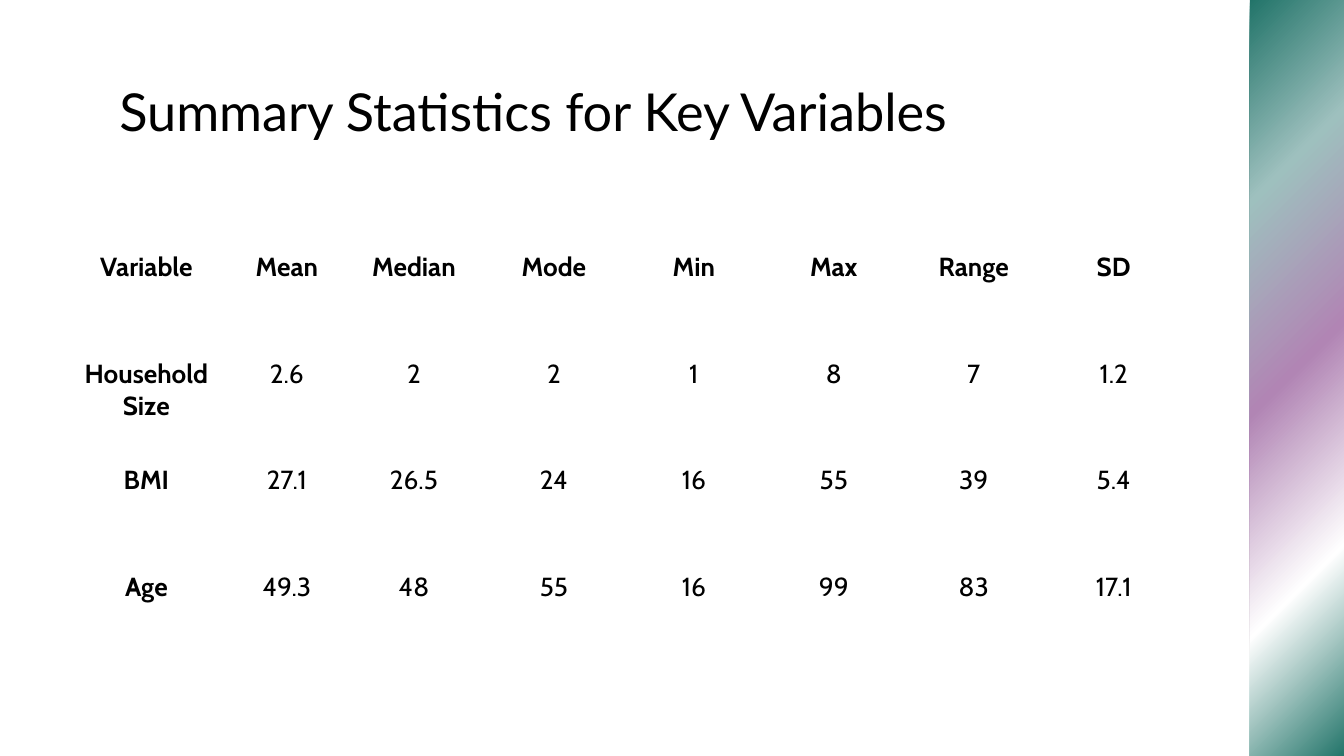
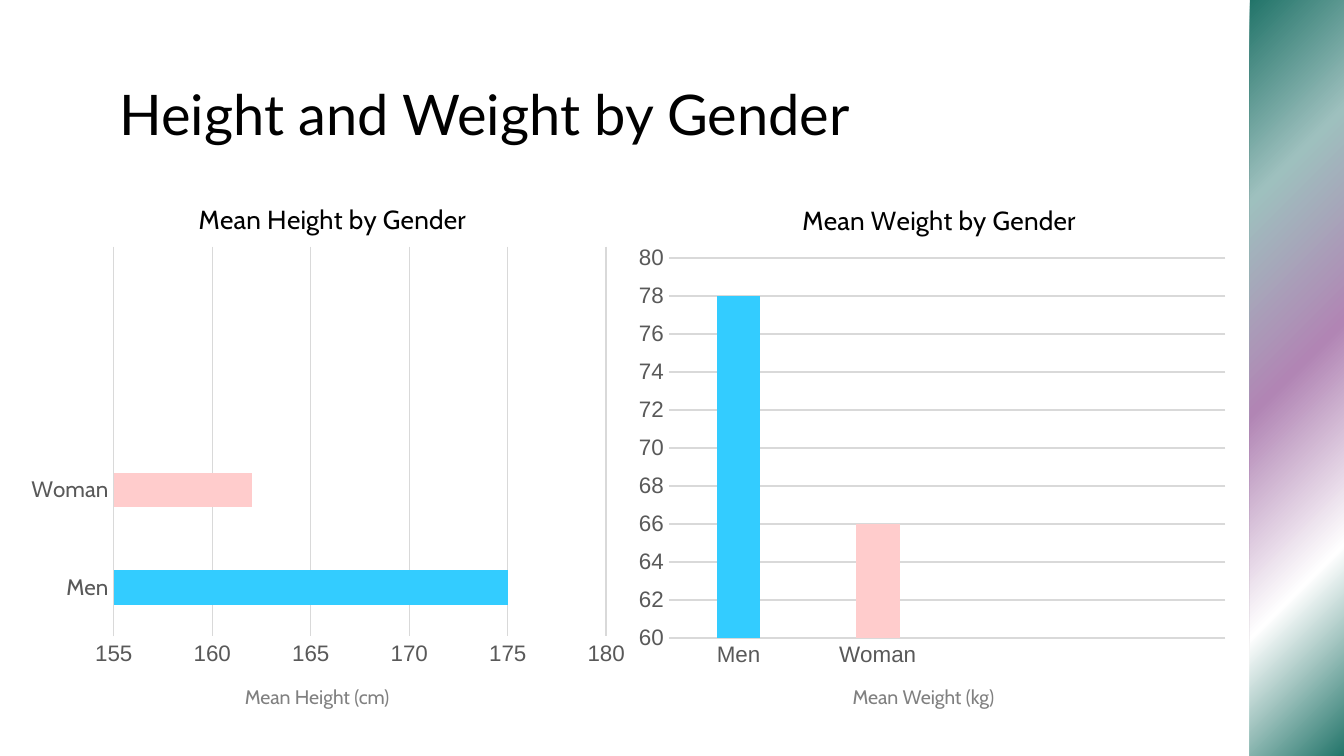
from dataclasses import dataclass

from lxml import etree
from pptx import Presentation
from pptx import util as u
from pptx.chart.data import CategoryChartData
from pptx.dml.color import RGBColor
from pptx.enum import chart as charts, shapes, text
from pptx.oxml import parse_xml
from pptx.oxml.ns import nsdecls, qn

# Content
STATISTICS = {
    "title": "Summary Statistics for Key Variables",
    "rows": [
        ("Variable", "Mean", "Median", "Mode", "Min", "Max", "Range", "SD"),
        ("Household Size", "2.6", "2", "2", "1", "8", "7", "1.2"),
        ("BMI", "27.1", "26.5", "24", "16", "55", "39", "5.4"),
        ("Age", "49.3", "48", "55", "16", "99", "83", "17.1"),
    ],
}
GENDER_TITLE = "Height and Weight by Gender"
CATEGORIES = ("Men", "Woman", "", "")
GENDER_CHARTS = [
    dict(title="Mean Height by Gender", caption="Mean Height (cm)",
         kind=charts.XL_CHART_TYPE.BAR_CLUSTERED, values=(175, 162, None, None),
         scale=(155, 180, 5), gap=182, overlap=0, category_font="Cabin",
         box=(11.5, 91.4, 329.8, 271.4), caption_left=91.4,
         title_spot=(0.28, 0.05), plot=(0.15, 0.15, 0.8, 0.77)),
    dict(title="Mean Weight by Gender", caption="Mean Weight (kg)",
         kind=charts.XL_CHART_TYPE.COLUMN_CLUSTERED, values=(78, 66, None, None),
         scale=(60, 80, 2), gap=219, overlap=-27, category_font="Arial",
         box=(335.5, 92.2, 327.6, 271.4), caption_left=416.2,
         title_spot=(0.28, 0.05), plot=(0.07, 0.17, 0.91, 0.75)),
]


@dataclass(frozen=True)
class Theme:
    black: str = "000000"
    white: str = "FFFFFF"
    axis: str = "595959"
    grid: str = "D9D9D9"
    caption: str = "808080"
    series: str = "B185B4"
    bars: tuple = ("33CCFF", "FFCCCC")
    band: tuple = ((0, "207368"), (24, "9EC0BE"), (49, "B185B4"),
                   (75, "FFFFFF"), (100, "207368"))
    heading_font: str = "Lato"
    body_font: str = "Cabin"
    number_font: str = "Arial"
    table_size: float = 14
    chart_title_size: float = 14
    axis_size: float = 12
    chart_size: float = 10
    caption_size: float = 10.5


THEME = Theme()
WIDTH, HEIGHT = 720, 405
COLUMN_WIDTHS = [89.3, 61.2] + [75] * 6
ROW_HEIGHT = 57.2


def points(*lengths):
    return [u.Pt(length) for length in lengths]


def style_font(font, name, size, color, bold=False):
    font.name, font.size, font.bold = name, u.Pt(size), bold
    font.color.rgb = RGBColor.from_string(color)


def add_run(paragraph, words, *style):
    run = paragraph.add_run()
    run.text = words
    style_font(run.font, *style)


def add_text(slide, box, words, *style, align=text.PP_ALIGN.LEFT, inset=None):
    frame = slide.shapes.add_textbox(*points(*box)).text_frame
    frame.word_wrap = True
    if inset is not None:
        frame.margin_left = frame.margin_right = u.Pt(inset)
        frame.margin_top = frame.margin_bottom = u.Pt(inset)
    paragraph = frame.paragraphs[0]
    paragraph.alignment = align
    add_run(paragraph, words, *style)


# Shared frame: gradient band and title
def add_slide(presentation, title, title_size):
    slide = presentation.slides.add_slide(presentation.slide_layouts[6])
    band = slide.shapes.add_shape(shapes.MSO_SHAPE.RECTANGLE,
                                  *points(669.6, -2, 50.4, 409))
    band.shadow.inherit = False
    band.line.fill.background()
    stops = "".join(f'<a:gs pos="{position * 1000}"><a:srgbClr val="{color}"/></a:gs>'
                    for position, color in THEME.band)
    gradient = parse_xml(f'<a:gradFill {nsdecls("a")} rotWithShape="1"><a:gsLst>{stops}'
                         '</a:gsLst><a:lin ang="2700000" scaled="0"/></a:gradFill>')
    band._element.spPr.find(qn("a:prstGeom")).addnext(gradient)
    add_text(slide, (56.9, 35.3, 607, 45.4), title,
             THEME.heading_font, title_size, THEME.black, inset=7.2)
    return slide


# Statistics table
def style_cell(cell, is_header):
    properties = cell._tc.get_or_add_tcPr()
    for side in ("lnL", "lnR", "lnT", "lnB"):
        width = 3 if is_header and side == "lnB" else 1
        properties.append(parse_xml(
            f'<a:{side} {nsdecls("a")} w="{u.Pt(width)}"><a:solidFill>'
            f'<a:srgbClr val="{THEME.white}"/></a:solidFill></a:{side}>'))
    cell.fill.solid()
    cell.fill.fore_color.rgb = RGBColor.from_string(THEME.white)


def add_statistics_table(slide, rows):
    box = points(33.8, 131, sum(COLUMN_WIDTHS), ROW_HEIGHT * len(rows))
    table = slide.shapes.add_table(len(rows), len(COLUMN_WIDTHS), *box).table
    table.horz_banding = False
    for column, width in zip(table.columns, COLUMN_WIDTHS):
        column.width = u.Pt(width)
    for row_index, row in enumerate(rows):
        table.rows[row_index].height = u.Pt(ROW_HEIGHT)
        for column_index, words in enumerate(row):
            cell = table.cell(row_index, column_index)
            style_cell(cell, row_index == 0)
            paragraph = cell.text_frame.paragraphs[0]
            paragraph.alignment = text.PP_ALIGN.CENTER
            add_run(paragraph, words, THEME.body_font, THEME.table_size, THEME.black,
                    row_index == 0 or column_index == 0)


# Gender charts
def place(element, spot, inner=False):
    """Give a chart title or plot area a fixed place, as fractions of the chart."""
    layout = element.find(qn("c:layout"))
    if layout is None:
        layout = parse_xml(f'<c:layout {nsdecls("c")}/>')
        if inner:
            element.insert(0, layout)
        else:
            element.find(qn("c:tx")).addnext(layout)
    manual = etree.SubElement(layout, qn("c:manualLayout"))
    settings = [("layoutTarget", "inner")] if inner else []
    settings += [("xMode", "edge"), ("yMode", "edge")]
    settings += zip("xywh", spot)
    for name, value in settings:
        etree.SubElement(manual, qn(f"c:{name}")).set("val", str(value))


def style_line(line, color):
    line.color.rgb = RGBColor.from_string(color)
    line.width = u.Pt(0.75)


def style_axes(chart, content):
    category, value = chart.category_axis, chart.value_axis
    for axis, font in ((category, content["category_font"]), (value, THEME.number_font)):
        axis.major_tick_mark = axis.minor_tick_mark = charts.XL_TICK_MARK.NONE
        style_font(axis.tick_labels.font, font, THEME.axis_size, THEME.axis)
    style_line(category.format.line, THEME.grid)
    value.format.line.fill.background()
    value.has_major_gridlines = True
    style_line(value.major_gridlines.format.line, THEME.grid)
    value.minimum_scale, value.maximum_scale, value.major_unit = content["scale"]


def add_gender_chart(slide, content):
    data = CategoryChartData()
    data.categories = CATEGORIES
    data.add_series("Series 1", content["values"])
    chart = slide.shapes.add_chart(content["kind"], *points(*content["box"]), data).chart
    style_font(chart.font, THEME.number_font, THEME.chart_size, THEME.black)
    chart.has_legend = False
    chart.has_title = True
    add_run(chart.chart_title.text_frame.paragraphs[0], content["title"],
            THEME.body_font, THEME.chart_title_size, THEME.black)
    place(chart.chart_title._element, content["title_spot"])
    place(chart._chartSpace.chart.plotArea, content["plot"], inner=True)
    style_axes(chart, content)

    plot = chart.plots[0]
    plot.vary_by_categories = False
    plot.gap_width, plot.overlap = content["gap"], content["overlap"]
    series = plot.series[0]
    fills = [series.format.fill]
    fills += [series.points[index].format.fill for index in range(len(THEME.bars))]
    for fill, color in zip(fills, (THEME.series, *THEME.bars)):
        fill.solid()
        fill.fore_color.rgb = RGBColor.from_string(color)

    add_text(slide, (content["caption_left"], 363.6, 157, 20.9), content["caption"],
             THEME.body_font, THEME.caption_size, THEME.caption,
             align=text.PP_ALIGN.CENTER)


def main():
    presentation = Presentation()
    presentation.slide_width, presentation.slide_height = points(WIDTH, HEIGHT)
    statistics_slide = add_slide(presentation, STATISTICS["title"], 28)
    add_statistics_table(statistics_slide, STATISTICS["rows"])
    gender_slide = add_slide(presentation, GENDER_TITLE, 30)
    for content in GENDER_CHARTS:
        add_gender_chart(gender_slide, content)
    presentation.save("out.pptx")


if __name__ == "__main__":
    main()
